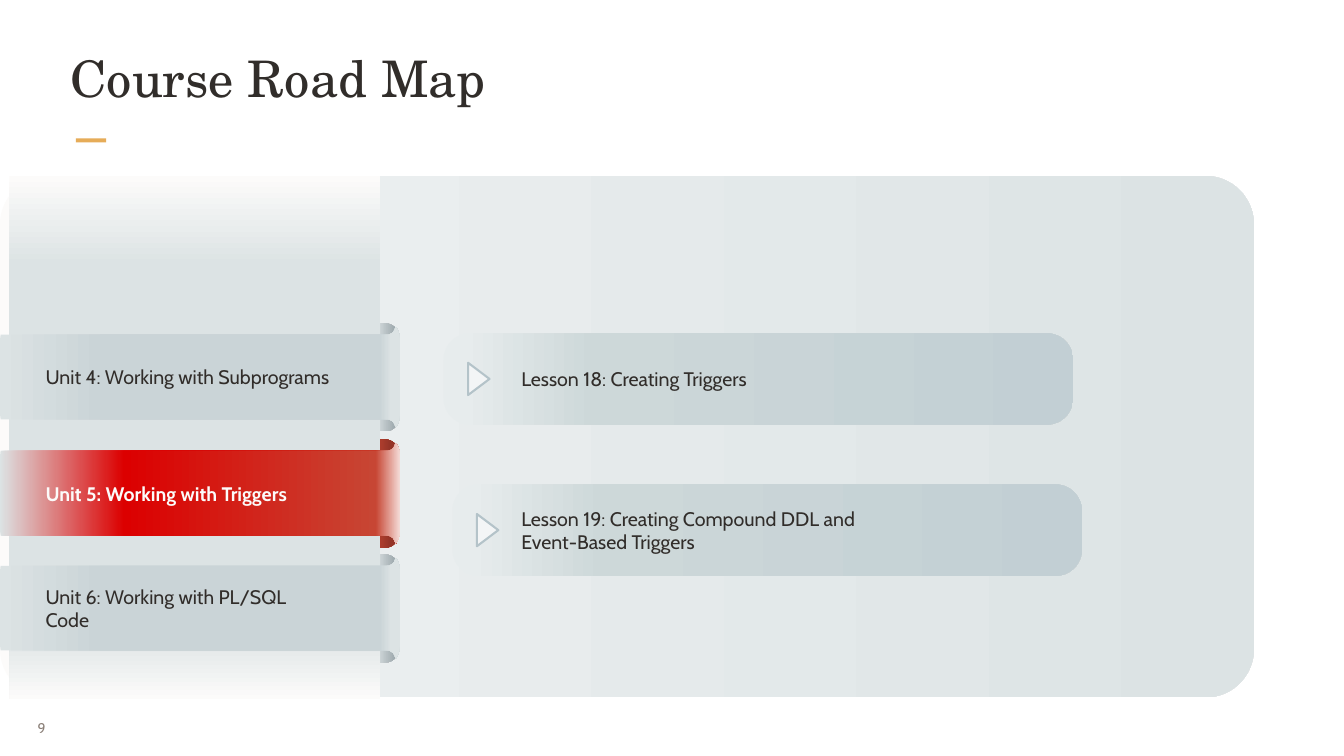
from dataclasses import dataclass

from lxml import etree
from pptx import Presentation
from pptx.dml.color import RGBColor
from pptx.enum.shapes import MSO_SHAPE
from pptx.enum.text import MSO_ANCHOR, MSO_AUTO_SIZE, PP_ALIGN
from pptx.oxml.ns import qn
from pptx.util import Pt

RECT, ROUND = MSO_SHAPE.RECTANGLE, MSO_SHAPE.ROUNDED_RECTANGLE
ARROW = MSO_SHAPE.ISOSCELES_TRIANGLE
TOP, MIDDLE = MSO_ANCHOR.TOP, MSO_ANCHOR.MIDDLE
LEFT, JUSTIFY = PP_ALIGN.LEFT, PP_ALIGN.JUSTIFY
FIXED, GROW = MSO_AUTO_SIZE.NONE, MSO_AUTO_SIZE.SHAPE_TO_FIT_TEXT


@dataclass(frozen=True)
class Theme:
    head: str = "TeX Gyre Schola"
    body: str = "Cabin"
    title: float = 54
    label: float = 21
    small: float = 15
    ink: str = "312D2A"
    pale: str = "FCFBFA"
    page: str = "8B8078"
    gold: str = "E6AC58"
    tip: str = "F3F5F6"
    edge: str = "B4C3C9"
    # Gradient stops: percent, colour
    back: tuple = ((0, "FCFBFA"), (26, "EAEEEF"), (100, "DCE3E4"))
    side: tuple = ((0, "FCFBFA"), (17, "DCE3E4"), (87, "DCE3E4"),
                   (100, "FCFBFA"))
    bar: tuple = ((3, "E7ECED"), (24, "CDD8D9"), (100, "C2CFD4"))
    fold: tuple = ((77, "DEE4E5"), (99, "96A2A7"))
    band: tuple = ((0, "DCE3E4"), (25, "CAD4D7"), (95, "CAD4D7"),
                   (98, "DCE3E4"))
    hot_fold: tuple = ((73, "C74634"), (92, "953427"))
    hot_band: tuple = ((0, "DCE3E4"), (31, "DC0000"), (94, "C74634"),
                       (100, "F4DAD6"))


T = Theme()
BAND_W, BAND_H = 428.4, 108
BAR_W, BAR_H = 674.6, 97.9

# Unit: text, ribbon top, text width, lines, current
UNITS = [
    ("Unit 4: Working with Subprograms", 350, 346.3, 1, False),
    ("Unit 5: Working with Triggers", 474.5, 366.5, 1, True),
    ("Unit 6: Working with PL/SQL Code", 597.6, 319.7, 2, False),
]
# Lesson: text, bar left, bar top, text width, lines
LESSONS = [
    ("Lesson 19: Creating Compound DDL and\vEvent-Based Triggers",
     484.6, 519.1, 514.1, 2),
    ("Lesson 18: Creating Triggers", 475.2, 357.1, 482.4, 1),
]


def paint(shape, fill, angle=0):
    """Fill with one colour, or with gradient stops; no line or shadow."""
    shape.shadow.inherit = False
    shape.line.fill.background()
    if isinstance(fill, str):
        shape.fill.solid()
        shape.fill.fore_color.rgb = RGBColor.from_string(fill)
        return
    shape.fill.gradient()
    grad = shape._element.spPr.find(qn("a:gradFill"))
    for child in list(grad):
        grad.remove(child)
    stops = etree.SubElement(grad, qn("a:gsLst"))
    for pos, color in fill:
        stop = etree.SubElement(stops, qn("a:gs"), pos=str(pos * 1000))
        etree.SubElement(stop, qn("a:srgbClr"), val=color)
    etree.SubElement(grad, qn("a:lin"), ang=str(angle * 60000), scaled="0")


def block(slide, kind, box, fill, angle=0, bend=None):
    shape = slide.shapes.add_shape(kind, *map(Pt, box))
    if bend is not None:
        shape.adjustments[0] = bend
    paint(shape, fill, angle)
    return shape


def write(shape, text, font, size, color, bold=False, align=LEFT,
          anchor=MIDDLE, fit=GROW, wrap=True):
    frame = shape.text_frame
    frame.text = text
    frame.word_wrap = wrap
    frame.auto_size = fit
    frame.vertical_anchor = anchor
    para = frame.paragraphs[0]
    para.alignment = align
    para.font.name = font
    para.font.size = Pt(size)
    para.font.bold = bold
    para.font.color.rgb = RGBColor.from_string(color)
    return frame


def inset(frame, side, top):
    frame.margin_left = frame.margin_right = Pt(side)
    frame.margin_top = frame.margin_bottom = Pt(top)


def label(slide, text, left, mid, width, lines, color=T.ink, bold=False):
    """Text box centred on the height mid."""
    high = 6.5 + 25.9 * lines
    box = slide.shapes.add_textbox(Pt(left), Pt(mid - high / 2),
                                   Pt(width), Pt(high))
    write(box, text, T.body, T.label, color, bold)


def curve(a, b, c, d, steps=8):
    """Points along a cubic curve, after its start."""
    for i in range(1, steps + 1):
        t = i / steps
        s = 1 - t
        yield tuple(s**3 * p + 3 * s * s * t * q + 3 * s * t * t * r + t**3 * u
                    for p, q, r, u in zip(a, b, c, d))


def ribbon(slide, top, fill):
    half = [(0, 14.4), (0.7, 8.6), (414.7, 8.6),
            *curve((414.7, 8.6), (418.3, 8.6), (421.2, 6.5), (422.6, 3.6)),
            (424, 0),
            *curve((424, 0), (427, 3.6), (BAND_W, 8.6), (BAND_W, 14.4))]
    ring = half + [(x, BAND_H - y) for x, y in reversed(half)]
    spots = [(Pt(x), Pt(top + y)) for x, y in ring]
    path = slide.shapes.build_freeform(*spots[0])
    path.add_line_segments(spots[1:], close=True)
    paint(path.convert_to_shape(), fill)


def lesson(slide, text, left, top, width, lines):
    block(slide, ROUND, (left, top, BAR_W, BAR_H), T.bar, bend=0.289)
    tip = block(slide, ARROW, (left + 20.5, top + 37.4, 34.6, 23), T.tip)
    tip.rotation = 90
    tip.line.color.rgb = RGBColor.from_string(T.edge)
    tip.line.width = Pt(2.25)
    label(slide, text, 551.5, top + BAR_H / 2, width, lines)


def main():
    deck = Presentation()
    deck.slide_width, deck.slide_height = Pt(1440), Pt(810)
    slide = deck.slides.add_slide(deck.slide_layouts[5])

    # Title, accent and page number
    title = slide.shapes.title
    title.left, title.top = Pt(73.4), Pt(48.2)
    title.width, title.height = Pt(1293.1), Pt(92.2)
    frame = write(title, "Course Road Map", T.head, T.title, T.ink,
                  anchor=TOP, fit=FIXED)
    inset(frame, 2.2, 2.2)
    block(slide, RECT, (81.4, 148.3, 32.4, 4.3), T.gold)
    page = slide.shapes.add_textbox(Pt(31), Pt(758.9), Pt(46.8), Pt(41.8))
    frame = write(page, "9", T.body, T.small, T.page, align=JUSTIFY,
                  fit=FIXED, wrap=False)
    inset(frame, 9.4, 5)

    # Lessons on the back panel
    block(slide, ROUND, (0, 188.6, 1343.5, 558.7), T.back, bend=0.093)
    for item in LESSONS:
        lesson(slide, *item)

    # Folds go behind the side panel, ribbons in front
    for _, top, _, _, hot in UNITS:
        block(slide, ROUND, (313.2, top - 3.6, 113.8, 115.9),
              T.hot_fold if hot else T.fold, bend=0.126)
    block(slide, RECT, (10.1, 188.6, 397.4, 560.2), T.side, angle=90)
    for text, top, width, lines, hot in UNITS:
        ribbon(slide, top, T.hot_band if hot else T.band)
        label(slide, text, 41.8, top + BAND_H / 2, width, lines,
              T.pale if hot else T.ink, hot)

    deck.save("out.pptx")


if __name__ == "__main__":
    main()
